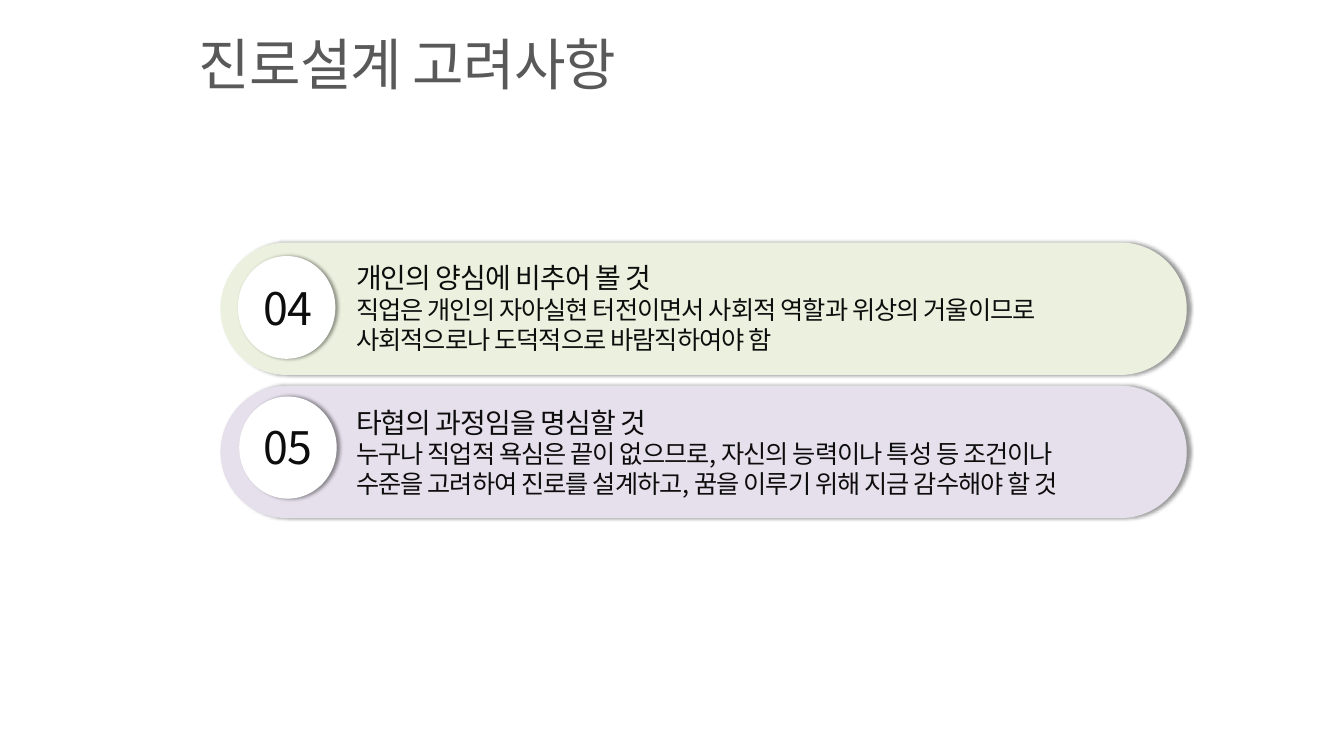
from lxml import etree
from pptx import Presentation
from pptx.dml.color import RGBColor
from pptx.enum.shapes import MSO_SHAPE
from pptx.enum.text import MSO_ANCHOR, PP_ALIGN
from pptx.oxml.ns import qn
from pptx.util import Pt

PX = 9144  # 100 px to the inch
FONT = "Noto Sans CJK KR"
WHITE = RGBColor(0xFF, 0xFF, 0xFF)
GRAY = RGBColor(0x59, 0x59, 0x59)
INK = RGBColor(0x0D, 0x0D, 0x0D)
GREEN = RGBColor(0xEB, 0xF1, 0xDE)
PURPLE = RGBColor(0xE6, 0xE0, 0xEC)

# Bar top, bar colour, circle place, number, number top, text place, lines
ITEMS = [
    (361, GREEN, (354, 381, 145, 153), "04", 412, (520, 380, 1213, 151),
     ["개인의 양심에 비추어 볼 것",
      "직업은 개인의 자아실현 터전이면서 사회적 역할과 위상의 거울이므로",
      "사회적으로나 도덕적으로 바람직하여야 함"]),
    (574, PURPLE, (356, 590, 145, 152), "05", 619, (520, 595, 1246, 151),
     ["타협의 과정임을 명심할 것",
      "누구나 직업적 욕심은 끝이 없으므로, 자신의 능력이나 특성 등 조건이나",
      "수준을 고려하여 진로를 설계하고, 꿈을 이루기 위해 지금 감수해야 할 것"]),
]


def to_emu(place):
    return [value * PX for value in place]


def apply(target, values):
    for name, value in values.items():
        setattr(target, name, value)


def add_shadow(shape):
    effects = shape._element.spPr.find(qn("a:effectLst"))
    shadow = etree.SubElement(effects, qn("a:outerShdw"), blurRad=str(Pt(4)),
                              dist=str(Pt(3)), dir="0", algn="l", rotWithShape="0")
    color = etree.SubElement(shadow, qn("a:srgbClr"), val="000000")
    etree.SubElement(color, qn("a:alpha"), val="40000")


def add_shadowed(page, kind, place, color):
    shape = page.shapes.add_shape(kind, *to_emu(place))
    shape.shadow.inherit = False
    shape.fill.solid()
    shape.fill.fore_color.rgb = color
    shape.line.fill.background()
    add_shadow(shape)
    return shape


def add_span(para, text, size, color):
    span = para.add_run()
    span.text = text
    apply(span.font, {"name": FONT, "size": Pt(size)})
    span.font.color.rgb = color
    properties = span.font._element
    properties.set("spc", "-100")
    etree.SubElement(properties, qn("a:ea"), typeface=FONT)


def add_text(page, place, lines, color, frame_format, para_format):
    """Each line is a pair of text and size, one paragraph a line."""
    box = page.shapes.add_textbox(*to_emu(place))
    frame = box.text_frame
    apply(frame, frame_format)
    for index, (text, size) in enumerate(lines):
        para = frame.add_paragraph() if index else frame.paragraphs[0]
        apply(para, para_format)
        add_span(para, text, size, color)
    return box


def add_item(page, top, color, circle, number, number_top, text_place, lines):
    bar = add_shadowed(page, MSO_SHAPE.ROUNDED_RECTANGLE, (328, top, 1438, 197), color)
    bar.adjustments[0] = 0.5
    add_shadowed(page, MSO_SHAPE.OVAL, circle, WHITE)
    add_text(page, (378, number_top, 102, 91), [(number, 48)], INK,
             {"word_wrap": False, "vertical_anchor": MSO_ANCHOR.MIDDLE},
             {"alignment": PP_ALIGN.CENTER})
    sizes = [30, 27, 27]
    box = add_text(page, text_place, list(zip(lines, sizes)), INK,
                   {"word_wrap": True, "margin_top": 8 * PX}, {})
    for para, size in zip(box.text_frame.paragraphs, sizes):
        para.line_spacing = Pt(round(size * 1.2))
    # Hanging indent for the two lines under the heading
    for para in box.text_frame.paragraphs[1:]:
        properties = para._p.get_or_add_pPr()
        properties.set("marL", str(25 * PX))
        properties.set("indent", str(-25 * PX))


def main():
    deck = Presentation()
    apply(deck, {"slide_width": 2000 * PX, "slide_height": 1125 * PX})
    page = deck.slides.add_slide(deck.slide_layouts[6])
    page.background.fill.solid()
    page.background.fill.fore_color.rgb = WHITE

    # Title
    margins = {f"margin_{side}": 0 for side in ("left", "top", "right", "bottom")}
    add_text(page, (296, 35, 1038, 119), [("진로설계 고려사항", 60)], GRAY,
             {"word_wrap": True, "vertical_anchor": MSO_ANCHOR.MIDDLE, **margins},
             {"line_spacing": Pt(72)})

    # Numbered bars
    for item in ITEMS:
        add_item(page, *item)

    deck.save("out.pptx")


if __name__ == "__main__":
    main()
